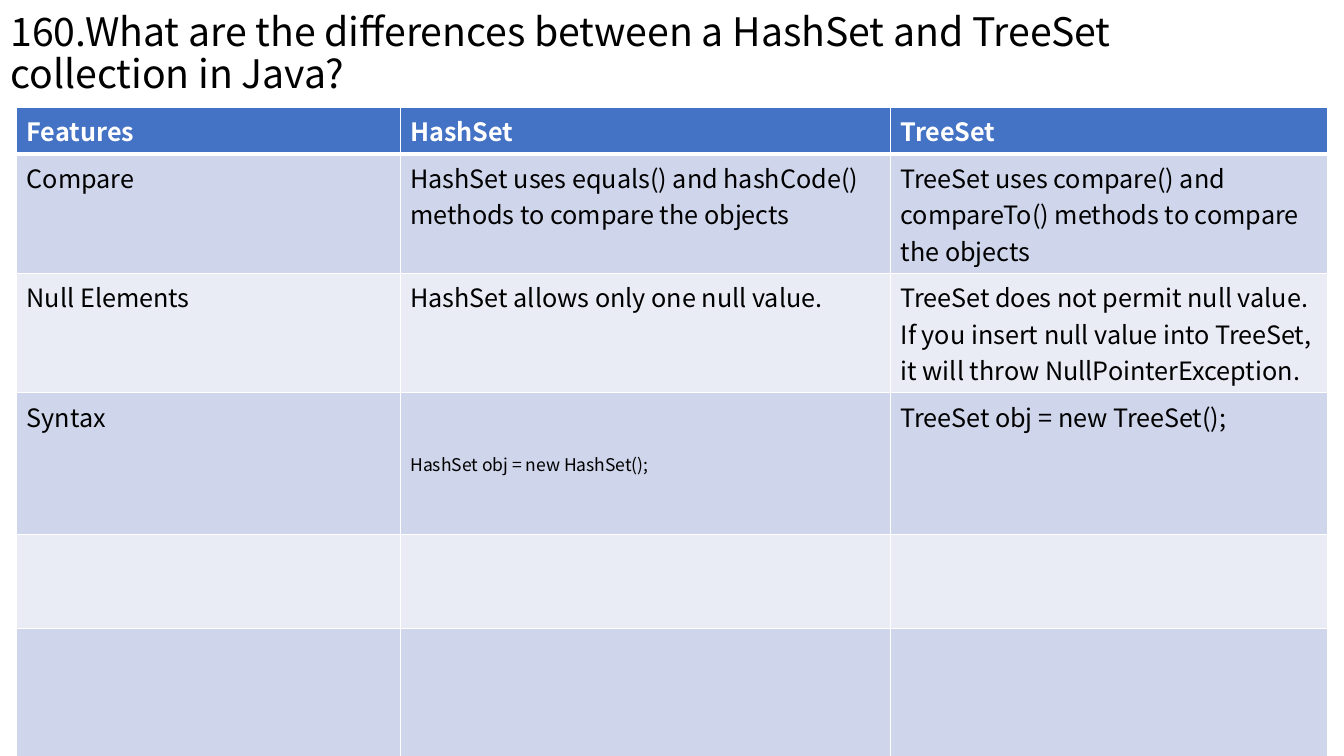
from lxml.etree import SubElement
from pptx import Presentation
from pptx.dml.color import RGBColor
from pptx.enum.text import MSO_ANCHOR, PP_ALIGN
from pptx.oxml.ns import qn
from pptx.util import Pt

FONT = "Noto Sans CJK SC"
BLACK = RGBColor(0x00, 0x00, 0x00)
WHITE = RGBColor(0xFF, 0xFF, 0xFF)
BLUE = RGBColor(0x44, 0x72, 0xC4)
BAND_DARK = RGBColor(0xCF, 0xD5, 0xEA)
BAND_LIGHT = RGBColor(0xE9, 0xEB, 0xF5)

TITLE = "160.What are the differences between a HashSet and TreeSet collection in Java?"
COL_WIDTHS = [274, 350.3, 312.2]
ROW_HEIGHTS = [33.2, 85.3, 85.3, 101.5, 67, 107.5]
ROWS = [
    ["Features", "HashSet", "TreeSet"],
    ["Compare",
     "HashSet uses equals() and hashCode() methods to compare the objects",
     "TreeSet uses compare() and compareTo() methods to compare the objects"],
    ["Null Elements",
     "HashSet allows only one null value.",
     "TreeSet does not permit null value. If you insert null value into TreeSet, "
     "it will throw NullPointerException."],
    ["Syntax", "HashSet obj = new HashSet();", "TreeSet obj = new TreeSet();"],
    ["", "", ""],
    ["", "", ""],
]


def add_run(p, text, size, color, bold=False):
    r = p.add_run()
    r.text = text
    r.font.name = FONT
    r.font.size = Pt(size)
    r.font.bold = bold
    r.font.color.rgb = color


def add_title(s, text):
    sp = s.shapes.add_textbox(Pt(0.4), Pt(-13), Pt(828), Pt(104.4))
    tf = sp.text_frame
    tf.word_wrap = True
    tf.vertical_anchor = MSO_ANCHOR.MIDDLE
    p = tf.paragraphs[0]
    p.line_spacing = 0.9
    add_run(p, text, 28, BLACK)


def set_borders(cell, bottom):
    tc_pr = cell._tc.get_or_add_tcPr()
    for side, width in (("L", 1), ("R", 1), ("T", 1), ("B", bottom)):
        ln = SubElement(tc_pr, qn(f"a:ln{side}"), w=str(Pt(width)))
        fill = SubElement(ln, qn("a:solidFill"))
        SubElement(fill, qn("a:srgbClr"), val=str(WHITE))


def fill_cell(cell, text, row, size):
    header = row == 0
    set_borders(cell, 3 if header else 1)
    cell.fill.solid()
    band = BAND_DARK if row % 2 else BAND_LIGHT
    cell.fill.fore_color.rgb = BLUE if header else band
    if text:
        add_run(cell.text_frame.paragraphs[0], text, size,
                WHITE if header else BLACK, header)


def style_code_cell(cell):
    cell.vertical_anchor = MSO_ANCHOR.MIDDLE
    cell.margin_left = cell.margin_right = Pt(7.2)
    cell.margin_top = cell.margin_bottom = Pt(10.8)
    cell.text_frame.paragraphs[0].alignment = PP_ALIGN.JUSTIFY


def add_comparison(s):
    frame = s.shapes.add_table(len(ROWS), len(COL_WIDTHS), Pt(11.9), Pt(76.8),
                               Pt(sum(COL_WIDTHS)), Pt(sum(ROW_HEIGHTS)))
    table = frame.table
    for column, width in zip(table.columns, COL_WIDTHS):
        column.width = Pt(width)
    for row, height in zip(table.rows, ROW_HEIGHTS):
        row.height = Pt(height)
    code_cell = (3, 1)
    for i, texts in enumerate(ROWS):
        for j, text in enumerate(texts):
            size = 12.5 if (i, j) == code_cell else 18
            fill_cell(table.cell(i, j), text, i, size)
    style_code_cell(table.cell(*code_cell))


def main():
    prs = Presentation()
    prs.slide_width, prs.slide_height = Pt(960), Pt(540)
    s = prs.slides.add_slide(prs.slide_layouts[6])
    add_title(s, TITLE)
    add_comparison(s)
    prs.save("out.pptx")


if __name__ == "__main__":
    main()
